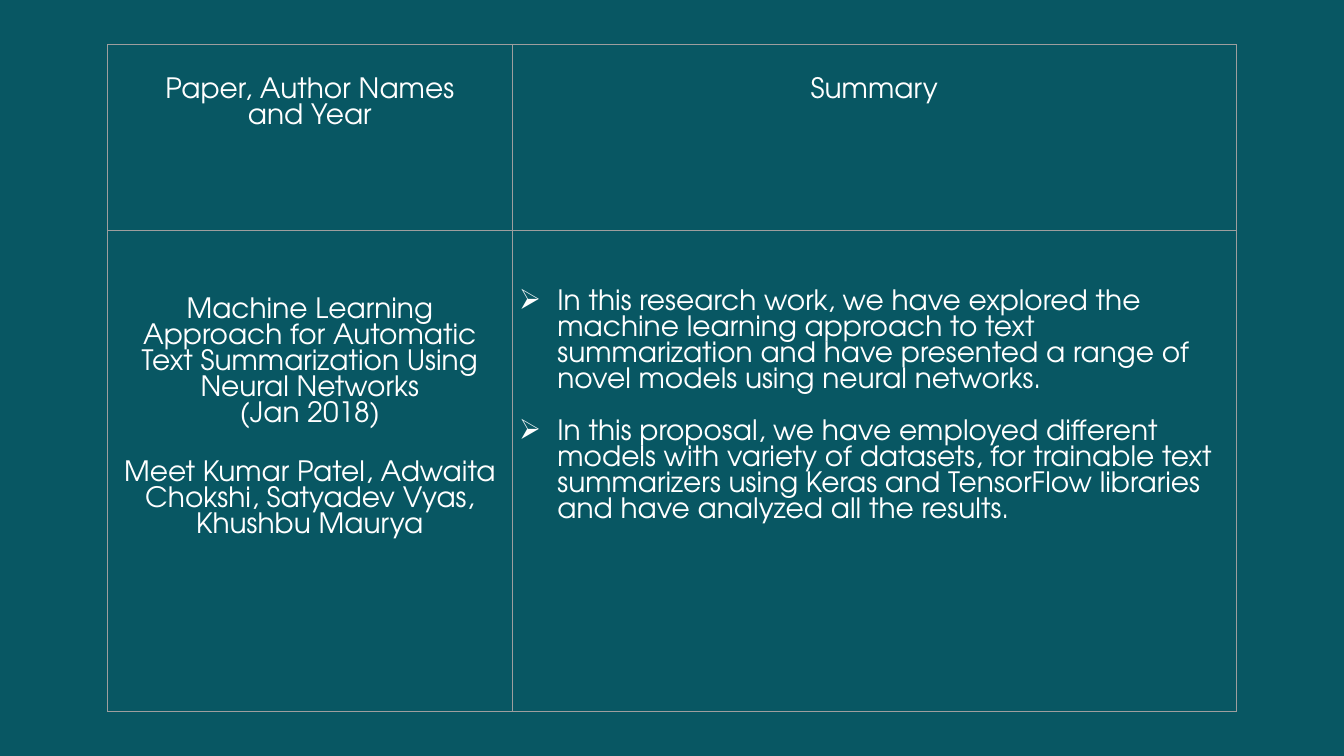
from dataclasses import dataclass

from lxml.etree import SubElement as Sub
from pptx import Presentation
from pptx.dml.color import RGBColor as Rgb
from pptx.enum.text import MSO_ANCHOR as Anchor, PP_ALIGN as Align
from pptx.oxml.ns import qn
from pptx.util import Inches, Pt

WIDTH, HEIGHT = Inches(13.33), Inches(7.5)
COLORS = {"back": "085763", "line": "9E9E9E", "text": "FFFFFF"}
FONT = {"name": "TeX Gyre Adventor", "size": Pt(20), "bold": False}
SIDE = Inches(0.07)

# Percent of the slide's width and height
LEFT, TOP = 8, 5.9
COLS = (30.1, 53.9)
ROWS = (24.6, 63.6)


@dataclass
class Entry:
    row: int
    col: int
    top: float
    lines: tuple[str, ...]
    gap: float = 0
    listed: bool = False


ENTRIES = (
    Entry(0, 0, 0.33, ("Paper, Author Names", "and Year")),
    Entry(0, 1, 0.33, ("Summary",)),
    Entry(1, 0, 0.67, (
        "Machine Learning Approach for Automatic Text Summarization "
        "Using Neural Networks\v(Jan 2018)",
        "Meet Kumar Patel, Adwaita Chokshi, Satyadev Vyas, Khushbu Maurya",
    ), gap=23),
    Entry(1, 1, 0.59, (
        "In this research work, we have explored the machine learning "
        "approach to text summarization and have presented a range of "
        "novel models using neural networks.",
        "In this proposal, we have employed different models with variety "
        "of datasets, for trainable text summarizers using Keras and "
        "TensorFlow libraries and have analyzed all the results.",
    ), gap=18.6, listed=True),
)


def across(share: float) -> int:
    return round(WIDTH * share / 100)


def down(share: float) -> int:
    return round(HEIGHT * share / 100)


def apply(target, values: dict) -> None:
    for name, value in values.items():
        setattr(target, name, value)


def paint(parent, color: str) -> None:
    """Add a solid fill to an XML element."""
    Sub(Sub(parent, qn("a:solidFill")), qn("a:srgbClr"), val=COLORS[color])


def border(cell) -> None:
    props = cell._tc.get_or_add_tcPr()
    for edge in ("lnL", "lnR", "lnT", "lnB"):
        paint(Sub(props, qn(f"a:{edge}"), w=str(Pt(0.75))), "line")


def bullet(para) -> None:
    """Hang an arrowhead bullet, which Wingdings keeps at the letter Ø."""
    props = para._p.get_or_add_pPr()
    indent = Inches(0.38)
    props.set("marL", str(indent))
    props.set("indent", str(-indent))
    Sub(Sub(props, qn("a:buClr")), qn("a:srgbClr"), val=COLORS["text"])
    Sub(props, qn("a:buFont"), typeface="Wingdings", charset="2")
    Sub(props, qn("a:buChar"), char="Ø")


def write(cell, entry: Entry) -> None:
    apply(cell, {"margin_left": SIDE, "margin_right": SIDE,
                 "margin_top": Inches(entry.top), "margin_bottom": SIDE,
                 "vertical_anchor": Anchor.TOP})
    border(cell)
    cell.fill.background()
    frame = cell.text_frame
    frame.text = "\n".join(entry.lines)
    for order, para in enumerate(frame.paragraphs):
        para.alignment = Align.LEFT if entry.listed else Align.CENTER
        if order and entry.gap:
            para.space_before = Pt(entry.gap)
        if entry.listed:
            bullet(para)
        for run in para.runs:
            apply(run.font, FONT)
            run.font.color.rgb = Rgb.from_string(COLORS["text"])


def main() -> None:
    deck = Presentation()
    apply(deck, {"slide_width": WIDTH, "slide_height": HEIGHT})
    slide = deck.slides.add_slide(deck.slide_layouts[6])
    back = slide.background.fill
    back.solid()
    back.fore_color.rgb = Rgb.from_string(COLORS["back"])

    table = slide.shapes.add_table(
        len(ROWS), len(COLS), across(LEFT), down(TOP),
        across(sum(COLS)), down(sum(ROWS))).table
    apply(table, {"first_row": False, "horz_banding": False})
    for col, share in zip(table.columns, COLS):
        col.width = across(share)
    for row, share in zip(table.rows, ROWS):
        row.height = down(share)
    for entry in ENTRIES:
        write(table.cell(entry.row, entry.col), entry)
    deck.save("out.pptx")


if __name__ == "__main__":
    main()
